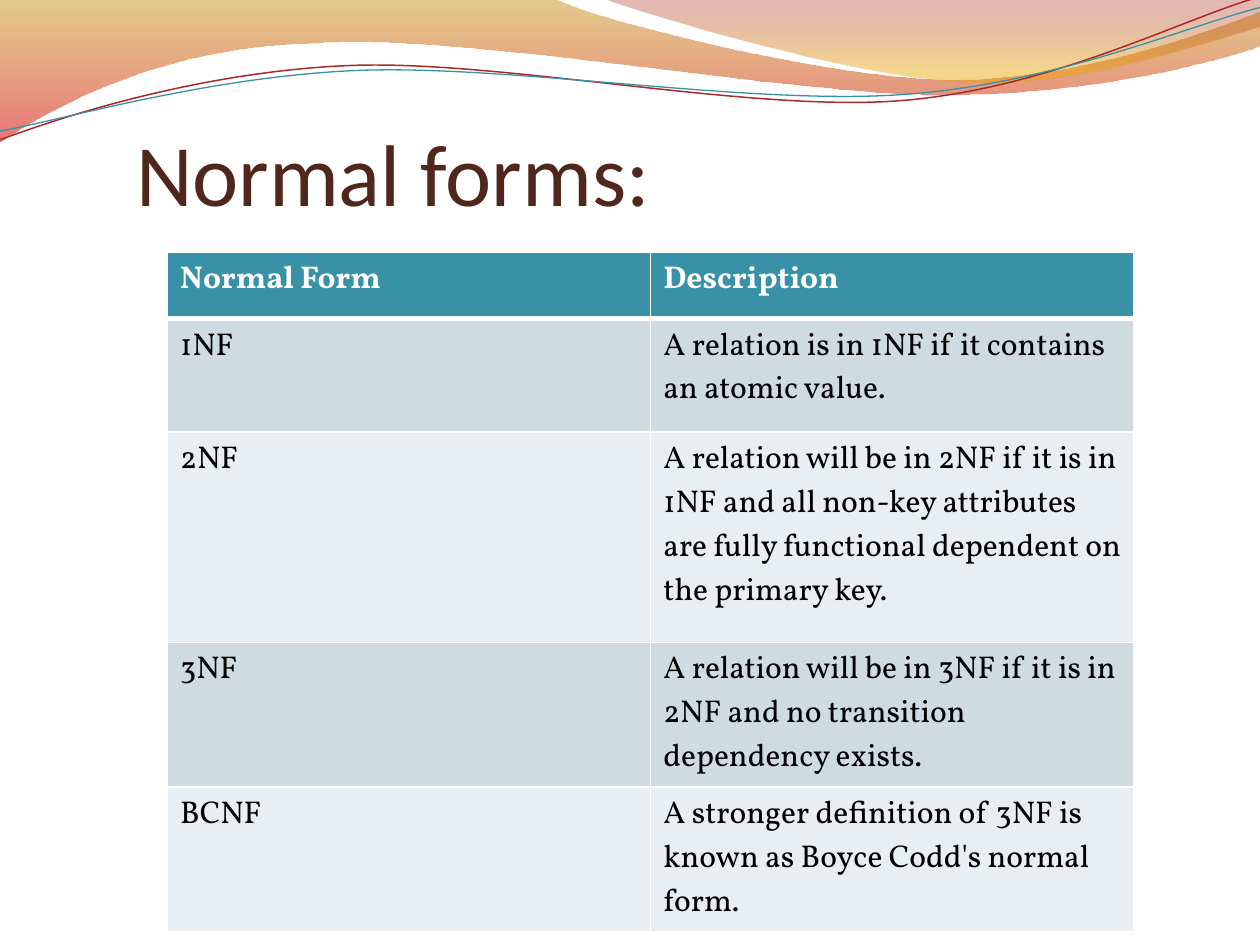
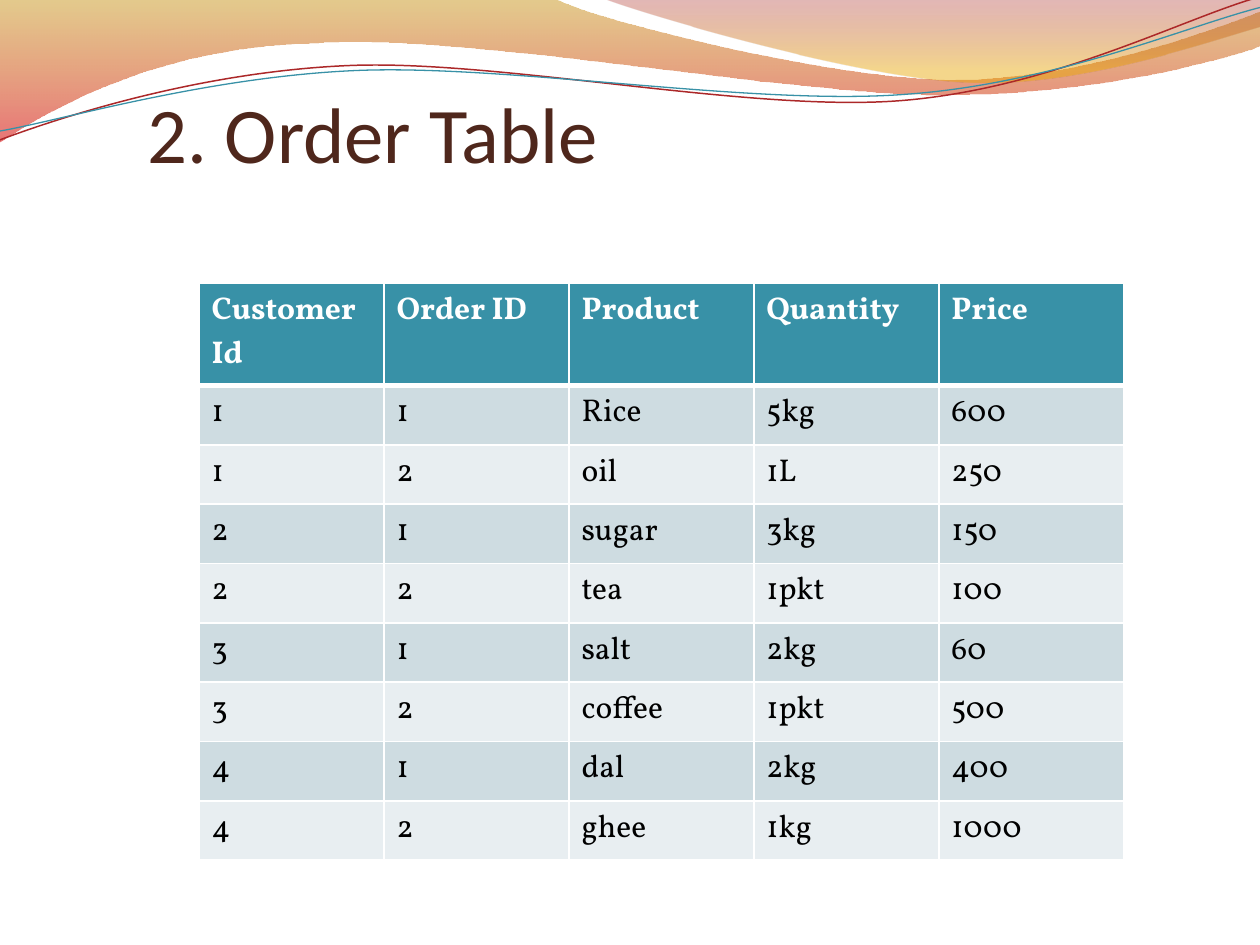
from math import cos, radians, sin

from lxml.etree import SubElement as Sub
from pptx import Presentation
from pptx.dml.color import RGBColor as RGB
from pptx.enum.text import MSO_ANCHOR as Anchor, MSO_AUTO_SIZE as Auto, PP_ALIGN as Align
from pptx.oxml.ns import qn
from pptx.util import Inches, Pt

# Content
PAGES = [
    {
        "title": "Normal forms:", "size": 50, "box": (1.08, 0.75, 8.2, 1.03), "foot": 0,
        "spot": (1.33, 2), "width": 7.67, "highs": [0.53, 0.9, 1.67, 1.05, 1.05],
        "rows": [
            ("Normal Form", "Description"),
            ("1NF", "A relation is in 1NF if it contains an atomic value."),
            ("2NF", "A relation will be in 2NF if it is in 1NF and all non-key attributes "
                    "are fully functional dependent on the primary key."),
            ("3NF", "A relation will be in 3NF if it is in 2NF and no transition "
                    "dependency exists."),
            ("BCNF", "A stronger definition of 3NF is known as Boyce Codd's normal form."),
        ],
    },
    {
        "title": "2. Order Table", "size": 45, "box": (1.17, 1.08, 8.2, 1.08), "foot": 0.74,
        "spot": (1.58, 2.25), "width": 7.34, "highs": [0.81] + [(4.58 - 0.81) / 8] * 8,
        "rows": [
            ("Customer Id", "Order ID", "Product", "Quantity", "Price"),
            ("1", "1", "Rice", "5kg", "600"),
            ("1", "2", "oil", "1L", "250"),
            ("2", "1", "sugar", "3kg", "150"),
            ("2", "2", "tea", "1pkt", "100"),
            ("3", "1", "salt", "2kg", "60"),
            ("3", "2", "coffee", "1pkt", "500"),
            ("4", "1", "dal", "2kg", "400"),
            ("4", "2", "ghee", "1kg", "1000"),
        ],
    },
]

# Shared look
HUES = {"title": "4F271C", "head": "3891A7", "odd": "CEDCE1", "even": "E8EEF1",
        "white": "FFFFFF", "black": "000000", "red": "AC2829",
        "gold": "C38B00", "coral": "D60305", "wine": "A11112", "amber": "E9A600"}
HEAD_FONT, BODY_FONT = "Calibri", "Vollkorn"
TILT = -2.7

# Waves: a start, then straight steps (2 numbers) or curves (6 numbers)
BANDS = [
    {"from": (0, 0), "stops": [(0, "gold", 45), (1, "coral", 55)],
     "steps": [(4.4, -0.01), (4.76, 0.17, 6.64, 0.63, 7.58, 0.63),
               (8.53, 0.63, 9.58, 0.26, 10, 0.09), (10.01, 0.36),
               (9.83, 0.44, 8.7, 0.76, 7.46, 0.75), (6.22, 0.75, 3.82, 0.28, 2.57, 0.34),
               (1.29, 0.36, 0.46, 0.83, -0.01, 1.13), (0, 0)]},
    {"from": (4.79, -0.01), "stops": [(0, "wine", 30), (0.8, "amber", 45)],
     "steps": [(5.09, 0.11, 6.82, 0.62, 7.69, 0.65), (8.56, 0.69, 9.61, 0.32, 10, 0.21),
               (10, 0), (4.79, -0.01)]},
]
LINES = [
    {"from": (0, 1.11), "hue": "red", "weight": 0.85, "mid": (4.99, 0.58),
     "steps": [(0.48, 0.93, 1.58, 0.57, 2.77, 0.52), (3.95, 0.47, 5.93, 0.89, 7.13, 0.8),
               (8.33, 0.71, 9.38, 0.15, 9.98, -0.02)]},
    {"from": (0, 1.04), "hue": "head", "weight": 0.75, "mid": (5, 0.59),
     "steps": [(0.47, 0.96, 1.64, 0.61, 2.83, 0.56), (4.03, 0.51, 5.97, 0.84, 7.17, 0.75),
               (8.36, 0.67, 9.41, 0.21, 10, 0.06)]},
]


def hue(name):
    return RGB.from_string(HUES[name])


def turn(dot, mid, angle):
    """Turn a point clockwise about mid."""
    x, y = dot[0] - mid[0], dot[1] - mid[1]
    c, s = cos(radians(angle)), sin(radians(angle))
    return mid[0] + x * c - y * s, mid[1] + x * s + y * c


def draw_wave(slide, wave, close, tilt=0):
    steps = wave["steps"]
    dots = [wave["from"]]
    for step in steps:
        dots += zip(step[::2], step[1::2])
    if tilt:
        dots = [turn(dot, wave["mid"], -tilt) for dot in dots]
    dots = [(Inches(x), Inches(y)) for x, y in dots]
    pen = slide.shapes.build_freeform(*dots[0])
    pen.add_line_segments(dots[1:], close=close)
    shape = pen.convert_to_shape()
    shape.rotation = tilt
    shape.shadow.inherit = False

    # Join each three points of a curved step into one Bezier
    legs = iter(list(shape.element.iter(qn("a:lnTo"))))
    for step in steps:
        leg = next(legs)
        if len(step) == 6:
            leg.tag = qn("a:cubicBezTo")
            for _ in range(2):
                extra = next(legs)
                leg.append(extra[0])
                extra.getparent().remove(extra)
    return shape


def draw_band(slide, band):
    shape = draw_wave(slide, band, True)
    shape.line.fill.background()
    shape.fill.gradient()
    shape.fill.gradient_angle = 270
    for stop, (place, name, _) in zip(shape.fill.gradient_stops, band["stops"]):
        stop.position = place
        stop.color.rgb = hue(name)
    tints = shape.element.spPr.iter(qn("a:srgbClr"))
    for tint, (_, _, alpha) in zip(tints, band["stops"]):
        Sub(tint, qn("a:alpha"), val=str(alpha * 1000))
    return shape


def draw_line(slide, line):
    shape = draw_wave(slide, line, False, TILT)
    shape.fill.background()
    shape.line.color.rgb = hue(line["hue"])
    shape.line.width = Pt(line["weight"])
    return shape


def set_title(slide, page):
    title = slide.shapes.title
    title.left, title.top, title.width, title.height = map(Inches, page["box"])
    frame = title.text_frame
    frame.text = page["title"]
    frame.auto_size = Auto.NONE
    frame.word_wrap = True
    frame.vertical_anchor = Anchor.BOTTOM
    frame.margin_left = frame.margin_right = 0
    frame.margin_top, frame.margin_bottom = Inches(0.05), Inches(page["foot"])
    para = frame.paragraphs[0]
    para.alignment = Align.LEFT
    para.font.name, para.font.size = HEAD_FONT, Pt(page["size"])
    para.font.color.rgb = hue("title")


def set_cell(cell, text, row):
    # Borders come before the fill
    props = cell._tc.get_or_add_tcPr()
    thick = {"lnB": 3} if row == 0 else {"lnT": 3} if row == 1 else {}
    for side in ("lnL", "lnR", "lnT", "lnB"):
        edge = Sub(props, qn("a:" + side), w=str(Pt(thick.get(side, 1))))
        Sub(Sub(edge, qn("a:solidFill")), qn("a:srgbClr"), val=HUES["white"])
    cell.fill.solid()
    cell.fill.fore_color.rgb = hue("head" if row == 0 else "odd" if row % 2 else "even")
    cell.text = text
    font = cell.text_frame.paragraphs[0].font
    font.name, font.size, font.bold = BODY_FONT, Pt(18), row == 0
    font.color.rgb = hue("black" if row else "white")


def add_grid(slide, page):
    rows, highs = page["rows"], page["highs"]
    size = (*page["spot"], page["width"], sum(highs))
    grid = slide.shapes.add_table(len(rows), len(rows[0]), *map(Inches, size)).table
    for r, (row, high) in enumerate(zip(rows, highs)):
        grid.rows[r].height = Inches(high)
        for c, text in enumerate(row):
            set_cell(grid.cell(r, c), text, r)


def main():
    deck = Presentation()
    deck.slide_width, deck.slide_height = Inches(10), Inches(7.5)
    layout = deck.slide_layouts[5]
    for holder in list(layout.placeholders)[1:]:
        holder.element.getparent().remove(holder.element)
    slides = [deck.slides.add_slide(layout) for _ in PAGES]

    # The waves live on the layout, so every slide shows them
    waves = [draw_band(slides[0], band) for band in BANDS]
    waves += [draw_line(slides[0], line) for line in LINES]
    for wave in waves:
        layout.shapes.element.append(wave.element)

    for slide, page in zip(slides, PAGES):
        set_title(slide, page)
        add_grid(slide, page)
    deck.save("out.pptx")


if __name__ == "__main__":
    main()
